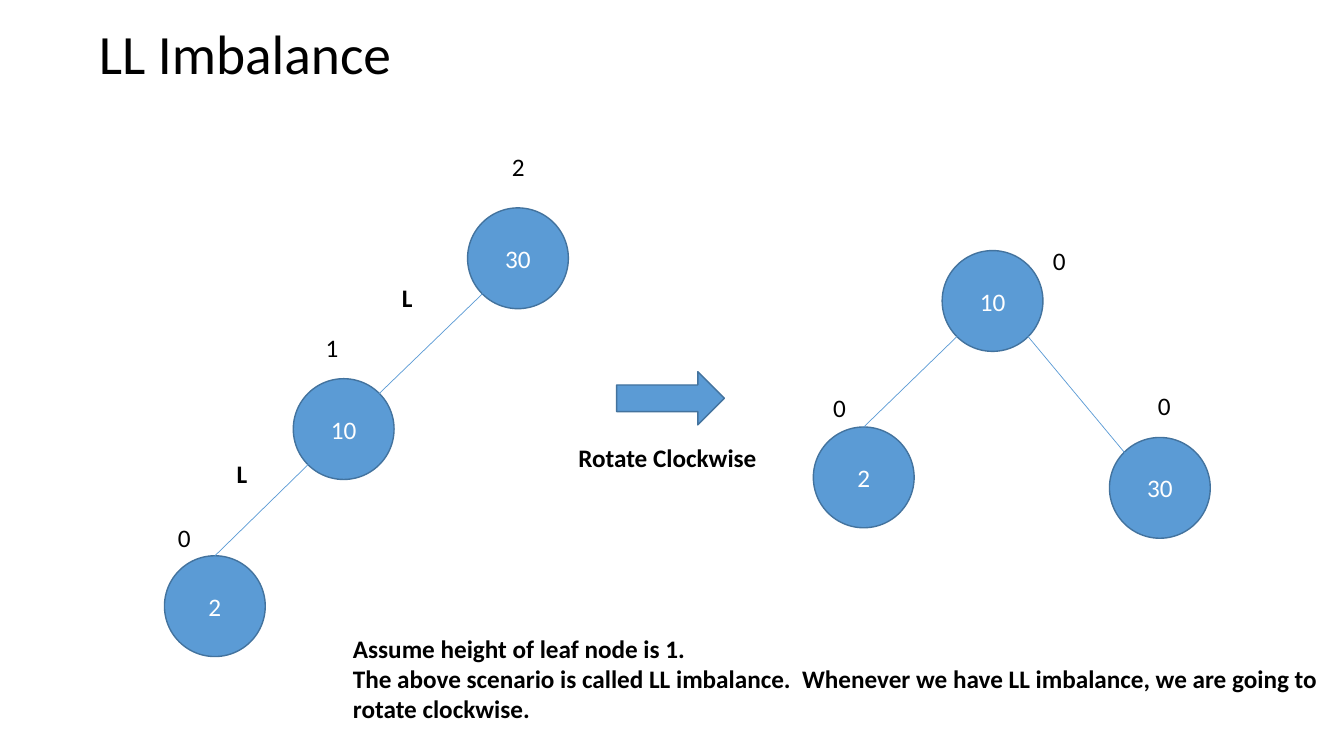
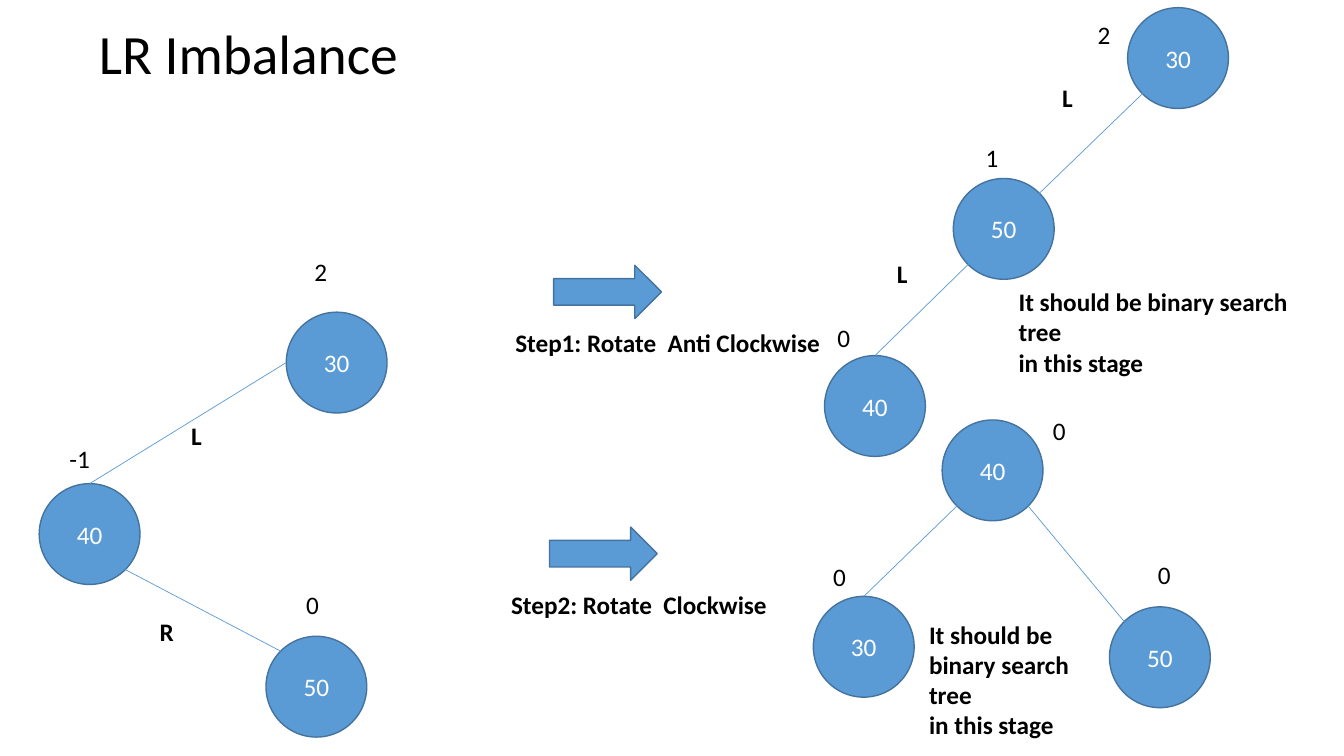
"""Build two slides on rotating unbalanced AVL trees."""
from lxml.etree import SubElement
from pptx import Presentation
from pptx.dml.color import RGBColor
from pptx.enum.shapes import MSO_CONNECTOR as LINK, MSO_SHAPE as SHAPE
from pptx.enum.text import MSO_ANCHOR as ANCHOR, PP_ALIGN as ALIGN
from pptx.oxml.ns import qn
from pptx.util import Pt

COLORS = {"node": "5B9BD5", "outline": "43739E", "text": "000000", "key": "FFFFFF"}
FONT = "Calibri"
NODE = 72
TEXT_HEIGHT = 29
ARROW = (77, 38)

NEAR, FAR = 0.15, 0.85
SITES = {
    "top": (0.5, 0), "left": (0, 0.5),
    "top left": (NEAR, NEAR), "top right": (FAR, NEAR),
    "bottom left": (NEAR, FAR), "bottom right": (FAR, FAR),
}

# Node and letter places count from the root; edges name parent and child by index.
CHAIN = {
    "nodes": [(0, 0), (-124.5, 122), (-216.5, 248.5)],
    "edges": [(0, "bottom left", 1, "top right"), (1, "bottom left", 2, "top")],
    "letters": [("L", -54, 49.5), ("L", -172, 175.5)],
}
ZIGZAG = {
    "nodes": [(0, 0), (-176.5, 122.5), (-14.5, 231.5)],
    "edges": [(0, "left", 1, "top"), (1, "bottom right", 2, "top left")],
    "letters": [("L", -75, 73.5), ("R", -97.5, 214)],
}
FORK = {
    "nodes": [(0, 0), (-92, 126), (119.5, 133.5)],
    "edges": [(0, "bottom left", 1, "top"), (0, "bottom right", 2, "top left")],
    "letters": [],
}
FORK_FACTORS = [("0", 72, -7), ("0", 7, -28.5), ("0", 27.5, -37.5)]

SLIDES = [
    {
        "title": "LL Imbalance",
        "trees": [
            {"form": CHAIN, "root": (334, 148.5), "keys": ["30", "10", "2"],
             "factors": [("2", 24.5, -44), ("1", 16, -36.5), ("0", 2.5, -27.5)]},
            {"form": FORK, "root": (673, 179), "keys": ["10", "2", "30"],
             "factors": FORK_FACTORS},
        ],
        "steps": [("Rotate Clockwise", 440.5, 265.5, 47, 142)],
        "remarks": [
            (["Assume height of leaf node is 1.",
              "The above scenario is called LL imbalance.  Whenever we have LL imbalance, we are going to",
              "rotate clockwise."], (245, 448.5, 707, 73), False),
        ],
    },
    {
        "title": "LR Imbalance",
        "trees": [
            {"form": ZIGZAG, "root": (204.5, 223), "keys": ["30", "40", "50"],
             "factors": [("2", 13, -43.5), ("-1", 14.5, -32.5), ("0", 21.5, -37)]},
            {"form": CHAIN, "root": (805.5, 5.5), "keys": ["30", "50", "40"],
             "factors": [("2", -28.5, 5), ("1", 16, -29.5), ("0", 2, -27)]},
            {"form": FORK, "root": (673, 300), "keys": ["40", "30", "50"],
             "factors": FORK_FACTORS},
        ],
        "steps": [
            ("Step1: Rotate  Anti Clockwise", 395.5, 189.5, 41, 232),
            ("Step2: Rotate  Clockwise", 392.5, 376.5, 41, 197),
        ],
        "remarks": [
            (["It should be binary search tree", "in this stage"], (720.5, 201, 241, 51), False),
            (["It should be binary search tree", "in this stage"], (656.5, 438.5, 131, 94), True),
        ],
    },
]


def rgb(role):
    return RGBColor.from_string(COLORS[role])


def style(frame, role, size=18, bold=False):
    for paragraph in frame.paragraphs:
        for run in paragraph.runs:
            run.font.name = FONT
            run.font.size = Pt(size)
            run.font.bold = bold
            run.font.color.rgb = rgb(role)


def add_text(slide, lines, left, top, width, height=TEXT_HEIGHT, wrap=False, size=18, bold=False):
    frame = slide.shapes.add_textbox(Pt(left), Pt(top), Pt(width), Pt(height)).text_frame
    frame.word_wrap = wrap
    frame.text = "\n".join(lines)
    style(frame, "text", size, bold)
    return frame


def add_solid(slide, preset, left, top, width, height):
    solid = slide.shapes.add_shape(preset, Pt(left), Pt(top), Pt(width), Pt(height))
    solid.shadow.inherit = False
    solid.fill.solid()
    solid.fill.fore_color.rgb = rgb("node")
    solid.line.color.rgb = rgb("outline")
    solid.line.width = Pt(1)
    return solid


def add_node(slide, key, left, top):
    node = add_solid(slide, SHAPE.OVAL, left, top, NODE, NODE)
    frame = node.text_frame
    frame.text = key
    frame.vertical_anchor = ANCHOR.MIDDLE
    frame.paragraphs[0].alignment = ALIGN.CENTER
    style(frame, "key")
    return node


def site_point(corner, site):
    return [Pt(start + NODE * share) for start, share in zip(corner, SITES[site])]


def add_tree(slide, form, root, keys, factors):
    corners = [(root[0] + dx, root[1] + dy) for dx, dy in form["nodes"]]
    nodes = [add_node(slide, key, *corner) for key, corner in zip(keys, corners)]
    for parent, leave, child, arrive in form["edges"]:
        edge = slide.shapes.add_connector(
            LINK.STRAIGHT, *site_point(corners[parent], leave), *site_point(corners[child], arrive))
        edge.line.color.rgb = rgb("node")
        edge.line.width = Pt(0.5)
        SubElement(edge.line._get_or_add_ln().getparent(), qn("a:effectLst"))
        if arrive == "top":
            edge.end_connect(nodes[child], 0)
    for (factor, dx, dy), (left, top) in zip(factors, corners):
        add_text(slide, [factor], left + dx, top + dy, 17 + 7 * len(factor))
    for letter, dx, dy in form["letters"]:
        add_text(slide, [letter], root[0] + dx, root[1] + dy, 23, bold=True)


def add_step(slide, caption, left, top, drop, width):
    add_solid(slide, SHAPE.RIGHT_ARROW, left, top, *ARROW)
    add_text(slide, [caption], left - 34.5, top + drop, width, bold=True)


def add_title(slide, title):
    frame = add_text(slide, [title], 63.5, 14.5, 828, 52, wrap=True, size=39.6)
    frame.vertical_anchor = ANCHOR.MIDDLE
    frame.paragraphs[0].line_spacing = 0.9


def main():
    deck = Presentation()
    deck.slide_width, deck.slide_height = Pt(960), Pt(540)
    for content in SLIDES:
        slide = deck.slides.add_slide(deck.slide_layouts[6])
        add_title(slide, content["title"])
        for tree in content["trees"]:
            add_tree(slide, **tree)
        for step in content["steps"]:
            add_step(slide, *step)
        for lines, box, wrap in content["remarks"]:
            add_text(slide, lines, *box, wrap=wrap, bold=True)
    deck.save("out.pptx")


if __name__ == "__main__":
    main()
